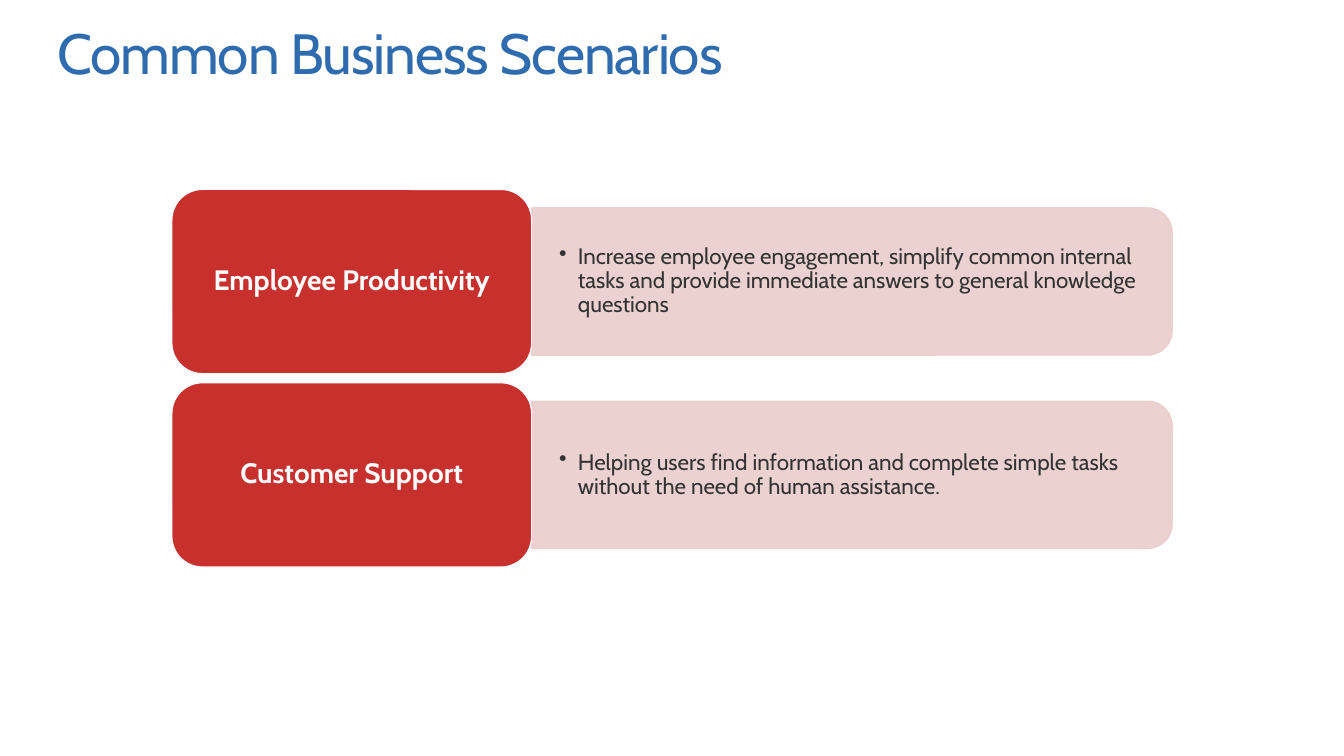
import pptx
import pptx.util
import pptx.dml.color
import pptx.enum.shapes
import pptx.enum.text
import pptx.oxml
import pptx.oxml.ns
from dataclasses import dataclass
from lxml import etree

Pt = pptx.util.Pt
SHAPES = pptx.enum.shapes.MSO_SHAPE
ANCHOR = pptx.enum.text.MSO_ANCHOR
ALIGN = pptx.enum.text.PP_ALIGN


@dataclass(frozen=True)
class Theme:
    font: str = "Cabin"
    title_color: str = "2E6CAF"
    label_fill: str = "C8302D"
    panel_fill: str = "EBCDCD"
    panel_alpha: int = 90
    body_color: str = "333333"
    white: str = "FFFFFF"
    title_size: float = 40.5
    label_size: float = 20
    body_size: float = 16
    outline: float = 0.85
    line_spacing: float = 0.9


THEME = Theme()

SCENARIOS = [
    ("Employee Productivity",
     "Increase employee engagement, simplify common internal tasks and provide "
     "immediate answers to general knowledge questions"),
    ("Customer Support",
     "Helping users find information and complete simple tasks without the need "
     "of human assistance."),
]


def rgb(value):
    return pptx.dml.color.RGBColor.from_string(value)


def write(frame, text, size, color, margins=(0, 0), bold=False,
          anchor=ANCHOR.MIDDLE, align=ALIGN.LEFT):
    """Fill a text frame with one formatted paragraph and return it."""
    frame.text = text
    frame.word_wrap = True
    frame.vertical_anchor = anchor
    frame.margin_left = frame.margin_right = Pt(margins[0])
    frame.margin_top = frame.margin_bottom = Pt(margins[1])
    paragraph = frame.paragraphs[0]
    paragraph.alignment = align
    paragraph.line_spacing = THEME.line_spacing
    font = paragraph.runs[0].font
    font.name, font.size, font.bold = THEME.font, Pt(size), bold
    font.color.rgb = rgb(color)
    return paragraph


def add_block(slide, preset, box, fill, line):
    block = slide.shapes.add_shape(preset, *map(Pt, box))
    block.shadow.inherit = False
    block.fill.solid()
    block.fill.fore_color.rgb = rgb(fill)
    block.line.color.rgb = rgb(line)
    block.line.width = Pt(THEME.outline)
    return block


def add_bullet(paragraph, indent):
    properties = paragraph._p.get_or_add_pPr()
    properties.set("marL", str(Pt(indent)))
    properties.set("indent", str(-Pt(indent)))
    bullet = etree.SubElement(properties, pptx.oxml.ns.qn("a:buChar"))
    bullet.set("char", "•")


def add_title(slide, box, text):
    title = slide.shapes.add_textbox(*map(Pt, box))
    paragraph = write(title.text_frame, text, THEME.title_size,
                      THEME.title_color, anchor=ANCHOR.TOP)
    # Tightened letter spacing, in hundredths of a point
    paragraph.runs[0]._r.get_or_add_rPr().set("spc", "-80")


def add_scenario(slide, box, name, description):
    left, top, width, height = box
    label_width = 257
    panel_left, panel_width = left + label_width, width - label_width
    panel_height = height * 0.8
    middle = top + height / 2

    # Panel: turned a quarter so that its rounded corners face right
    center = panel_left + panel_width / 2
    panel = add_block(slide, SHAPES.ROUND_2_SAME_RECTANGLE,
                      (center - panel_height / 2, middle - panel_width / 2,
                       panel_height, panel_width),
                      THEME.panel_fill, THEME.panel_fill)
    panel.rotation = 90
    for color in panel._element.spPr.iter(pptx.oxml.ns.qn("a:srgbClr")):
        alpha = etree.SubElement(color, pptx.oxml.ns.qn("a:alpha"))
        alpha.set("val", str(THEME.panel_alpha * 1000))

    # Description over the panel
    text_height = 95
    body = slide.shapes.add_textbox(Pt(panel_left), Pt(middle - text_height / 2),
                                    Pt(panel_width - 5), Pt(text_height))
    paragraph = write(body.text_frame, description, THEME.body_size,
                      THEME.body_color, margins=(19.5, 10))
    add_bullet(paragraph, 13.5)

    # Label
    label = add_block(slide, SHAPES.ROUNDED_RECTANGLE,
                      (left, top, label_width, height),
                      THEME.label_fill, THEME.white)
    write(label.text_frame, name, THEME.label_size, THEME.white,
          margins=(12, 9), bold=True, align=ALIGN.CENTER)


def add_scenario_list(slide, box, scenarios):
    left, top, width, height = box
    gap = 6.5
    row_height = (height - gap * (len(scenarios) - 1)) / len(scenarios)
    for row, (name, description) in enumerate(scenarios):
        row_top = top + row * (row_height + gap)
        add_scenario(slide, (left, row_top, width, row_height), name, description)


def main():
    deck = pptx.Presentation()
    deck.slide_width, deck.slide_height = Pt(960), Pt(540)
    slide = deck.slides.add_slide(deck.slide_layouts[6])
    add_title(slide, (41, 18, 878, 59), "Common Business Scenarios")
    add_scenario_list(slide, (122.8, 135.3, 714.5, 269.7), SCENARIOS)
    deck.save("out.pptx")


if __name__ == "__main__":
    main()
